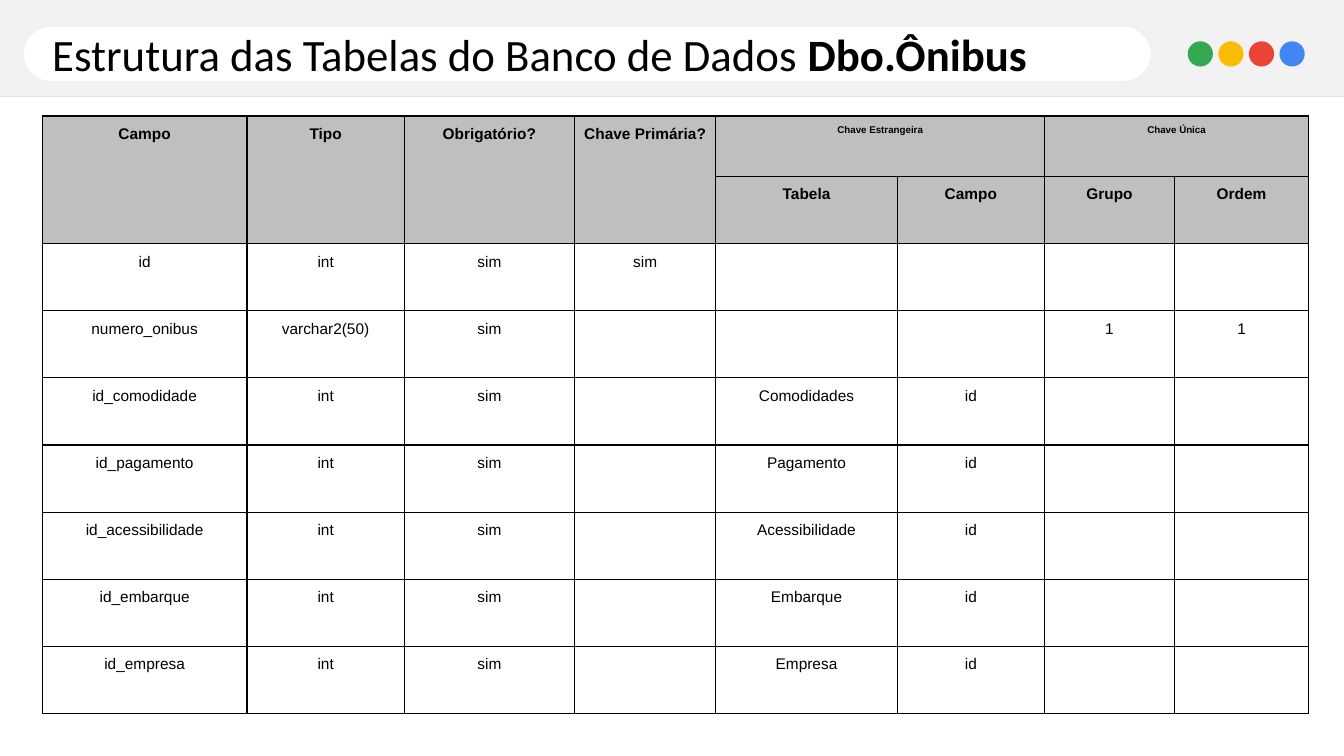
import dataclasses

import lxml.etree
import pptx
import pptx.dml.color
import pptx.enum.shapes
import pptx.enum.text
import pptx.oxml
import pptx.oxml.ns
import pptx.util

Inches = pptx.util.Inches
Pt = pptx.util.Pt
SHAPE = pptx.enum.shapes.MSO_SHAPE
ALIGN = pptx.enum.text.PP_ALIGN


@dataclasses.dataclass(frozen=True)
class Theme:
    black: str = "000000"
    white: str = "FFFFFF"
    band: str = "F2F2F2"
    pill_line: str = "F0F1F3"
    band_line: str = "E0E2E6"
    header: str = "BFBFBF"
    dots: tuple = ("34A952", "FBBD04", "EB4436", "4285F5")
    title_font: str = "Calibri"
    table_font: str = "Arial"
    title_size: float = 32
    table_size: float = 11
    group_size: float = 7


THEME = Theme()

COLUMN_WIDTHS = (2.03, 1.56, 1.69, 1.4, 1.8, 1.46, 1.29, 1.33)
GROUP_ROW_HEIGHT = 0.6
HEADER_ROWS = (
    ("Campo", "Tipo", "Obrigatório?", "Chave Primária?",
     "Chave Estrangeira", "", "Chave Única", ""),
    ("", "", "", "", "Tabela", "Campo", "Grupo", "Ordem"),
)
FIELD_ROWS = (
    ("id", "int", "sim", "sim", "", "", "", ""),
    ("numero_onibus", "varchar2(50)", "sim", "", "", "", "1", "1"),
    ("id_comodidade", "int", "sim", "", "Comodidades", "id", "", ""),
    ("id_pagamento", "int", "sim", "", "Pagamento", "id", "", ""),
    ("id_acessibilidade", "int", "sim", "", "Acessibilidade", "id", "", ""),
    ("id_embarque", "int", "sim", "", "Embarque", "id", "", ""),
    ("id_empresa", "int", "sim", "", "Empresa", "id", "", ""),
)


def rgb(color):
    return pptx.dml.color.RGBColor.from_string(color)


def write_text(paragraph, text, *, size, font, color=THEME.black, bold=False,
               align=None, line_spacing=None, space_after=None):
    """Append a formatted run to a paragraph."""
    run = paragraph.add_run()
    run.text = text
    run.font.size = Pt(size)
    run.font.name = font
    run.font.bold = bold
    run.font.color.rgb = rgb(color)
    if align is not None:
        paragraph.alignment = align
    if line_spacing is not None:
        paragraph.line_spacing = line_spacing
    if space_after is not None:
        paragraph.space_after = Pt(space_after)


def add_filled_shape(shapes, kind, box, fill, line=None):
    shape = shapes.add_shape(kind, *map(Inches, box))
    shape.shadow.inherit = False
    shape.fill.solid()
    shape.fill.fore_color.rgb = rgb(fill)
    if line:
        shape.line.color.rgb = rgb(line)
        shape.line.width = Pt(1)
    else:
        shape.line.fill.background()
    return shape


def add_dots(slide, box):
    """Spread the coloured dots evenly across the box."""
    left, top, width, diameter = box
    pitch = (width - diameter) / (len(THEME.dots) - 1)
    group = slide.shapes.add_group_shape()
    for index, color in enumerate(THEME.dots):
        dot_box = (left + index * pitch, top, diameter, diameter)
        add_filled_shape(group.shapes, SHAPE.OVAL, dot_box, color)


def add_header(slide, box):
    left, top, width, height = box
    # Band and title pill
    add_filled_shape(slide.shapes, SHAPE.RECTANGLE, box, THEME.band)
    pill = add_filled_shape(slide.shapes, SHAPE.ROUNDED_RECTANGLE,
                            (left + 0.23, top + 0.27, 11.19, 0.55),
                            THEME.white, THEME.pill_line)
    pill.adjustments[0] = 0.5

    # Title
    title_box = (left + 0.42, top + 0.23, 10.84, 0.64)
    title = slide.shapes.add_textbox(*map(Inches, title_box))
    title.text_frame.word_wrap = True
    title.text_frame.auto_size = pptx.enum.text.MSO_AUTO_SIZE.SHAPE_TO_FIT_TEXT
    paragraph = title.text_frame.paragraphs[0]
    title_format = {"size": THEME.title_size, "font": THEME.title_font}
    write_text(paragraph, "Estrutura das Tabelas do Banco de Dados ", **title_format)
    write_text(paragraph, "Dbo.Ônibus", bold=True, **title_format)

    # Lower edge of the band
    edge = Inches(top + height)
    connector = slide.shapes.add_connector(
        pptx.enum.shapes.MSO_CONNECTOR.STRAIGHT,
        Inches(left), edge, Inches(left + width), edge)
    connector.line.color.rgb = rgb(THEME.band_line)
    connector.line.width = Pt(0.75)
    lxml.etree.SubElement(connector.element.spPr, pptx.oxml.ns.qn("a:effectLst"))

    add_dots(slide, (left + 11.78, top + 0.42, 1.16, 0.25))


def add_borders(cell):
    properties = cell._tc.get_or_add_tcPr()
    for side in ("lnL", "lnR", "lnT", "lnB"):
        properties.append(pptx.oxml.parse_xml(
            f'<a:{side} {pptx.oxml.ns.nsdecls("a")} w="{Pt(1)}">'
            f'<a:solidFill><a:srgbClr val="{THEME.black}"/></a:solidFill>'
            f'</a:{side}>'))


def format_cell(cell, text, is_header, size):
    add_borders(cell)
    cell.margin_left = cell.margin_right = Inches(0.07)
    cell.margin_top = cell.margin_bottom = Inches(0.07)
    if is_header:
        cell.fill.solid()
        cell.fill.fore_color.rgb = rgb(THEME.header)
    else:
        cell.fill.background()
    if text:
        write_text(cell.text_frame.paragraphs[0], text, size=size,
                   font=THEME.table_font, bold=is_header, align=ALIGN.CENTER,
                   line_spacing=1.15, space_after=12)


def add_field_table(slide, box):
    rows = HEADER_ROWS + FIELD_ROWS
    frame = slide.shapes.add_table(len(rows), len(COLUMN_WIDTHS), *map(Inches, box))
    table = frame.table
    table.first_row = False
    table.horz_banding = False

    # Column widths, and equal rows below the group row
    for column, width in zip(table.columns, COLUMN_WIDTHS):
        column.width = Inches(width)
    row_height = (box[3] - GROUP_ROW_HEIGHT) / (len(rows) - 1)
    for index, row in enumerate(table.rows):
        row.height = Inches(row_height if index else GROUP_ROW_HEIGHT)

    # Cells
    for row_index, texts in enumerate(rows):
        for column_index, text in enumerate(texts):
            is_group = row_index == 0 and column_index >= 4
            format_cell(table.cell(row_index, column_index), text,
                        row_index < len(HEADER_ROWS),
                        THEME.group_size if is_group else THEME.table_size)

    # Merged headings
    for column_index in range(4):
        table.cell(0, column_index).merge(table.cell(1, column_index))
    for column_index in (4, 6):
        table.cell(0, column_index).merge(table.cell(0, column_index + 1))


def main():
    presentation = pptx.Presentation()
    presentation.slide_width = Inches(13.33)
    presentation.slide_height = Inches(7.5)
    slide = presentation.slides.add_slide(presentation.slide_layouts[6])
    add_header(slide, (0, -0.01, 13.33, 0.97))
    add_field_table(slide, (0.42, 1.15, sum(COLUMN_WIDTHS), 5.93))
    presentation.save("out.pptx")


if __name__ == "__main__":
    main()
